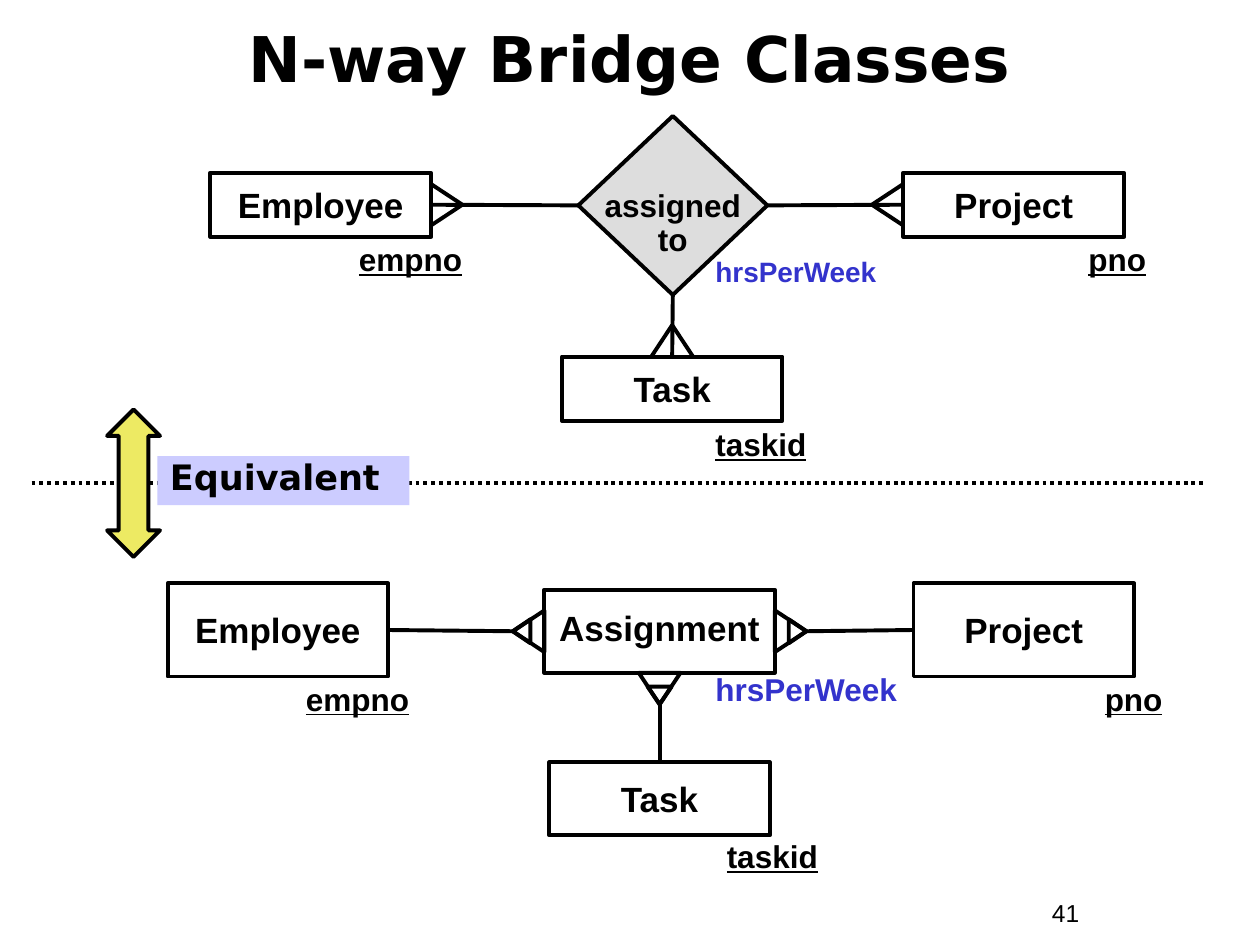
"""Build the slide on N-way bridge classes from a grid of 100 columns by 75 rows."""
from dataclasses import dataclass
from typing import Optional

from lxml.etree import SubElement
from pptx import Presentation
from pptx.dml.color import RGBColor
from pptx.enum.dml import MSO_LINE
from pptx.enum.shapes import MSO_CONNECTOR, MSO_SHAPE
from pptx.enum.text import MSO_ANCHOR, MSO_AUTO_SIZE, PP_ALIGN
from pptx.oxml.ns import qn
from pptx.shapes.autoshape import Shape
from pptx.shapes.connector import Connector
from pptx.slide import Slide
from pptx.util import Inches, Length, Pt

BLACK = RGBColor(0x00, 0x00, 0x00)
BLUE = RGBColor(0x33, 0x33, 0xCC)
GREY = RGBColor(0xDD, 0xDD, 0xDD)
LAVENDER = RGBColor(0xCC, 0xCC, 0xFF)
YELLOW = RGBColor(0xED, 0xEA, 0x63)
BODY_FONT = "Arial"
HEADING_FONT = "DejaVu Sans"
LINE_WIDTH = Pt(2.25)
TOP, LEFT, BOTTOM, RIGHT = range(4)
OUTWARD = {TOP: (0, -1), LEFT: (-1, 0), BOTTOM: (0, 1), RIGHT: (1, 0)}
TURN = {TOP: 0, LEFT: 270, BOTTOM: 180, RIGHT: 90}
FOOT_LENGTH = 2.5
FOOT_HALF_WIDTH = 1.65


@dataclass(frozen=True)
class Area:
    column: float
    row: float
    columns: float
    rows: float

    def lengths(self) -> list[Length]:
        return [cells(n) for n in (self.column, self.row, self.columns, self.rows)]

    def side(self, side: int) -> tuple[float, float]:
        """Return the middle point of one side."""
        step_x, step_y = OUTWARD[side]
        return (self.column + self.columns * (1 + step_x) / 2,
                self.row + self.rows * (1 + step_y) / 2)


@dataclass(frozen=True)
class Entity:
    name: str
    area: Area
    line_spacing: float = 1.0


@dataclass(frozen=True)
class Label:
    text: str
    area: Area
    size: int = 18
    color: RGBColor = BLACK
    bold: bool = True
    underline: bool = True
    line_spacing: float = 0.85


UPPER_EMPLOYEE = Entity("Employee", Area(16.7, 13.7, 17.5, 5.1))
UPPER_PROJECT = Entity("Project", Area(71.7, 13.7, 17.5, 5.1))
UPPER_TASK = Entity("Task", Area(44.6, 28.3, 17.5, 5.1))
RELATION = Area(45.9, 9.2, 15, 14.2)
LOWER_EMPLOYEE = Entity("Employee", Area(13.3, 46.3, 17.5, 7.4))
LOWER_PROJECT = Entity("Project", Area(72.5, 46.3, 17.5, 7.4))
LOWER_TASK = Entity("Task", Area(43.6, 60.5, 17.5, 5.8))
ASSIGNMENT = Entity("Assignment", Area(43.2, 46.8, 18.3, 6.6), 0.85)

LABELS = [
    Label("empno", Area(27.5, 19, 12.5, 3.6)),
    Label("pno", Area(85.4, 19, 10, 3.6)),
    Label("taskid", Area(55.8, 33.6, 10, 3.7), line_spacing=0.9),
    Label("hrsPerWeek", Area(55.8, 20, 15, 3.4), 16, BLUE, underline=False, line_spacing=0.9),
    Label("empno", Area(23.3, 53.9, 12.5, 3.6)),
    Label("pno", Area(86.7, 53.9, 10, 3.6)),
    Label("taskid", Area(56.7, 66.3, 10, 3.7), line_spacing=0.9),
    Label("hrsPerWeek", Area(55.8, 53, 16.7, 3.7), 18, BLUE, underline=False, line_spacing=0.9),
    Label("41", Area(82.5, 70.8, 9.2, 3.4), 14, bold=False, underline=False, line_spacing=1.0),
]


def cells(count: float) -> Length:
    """Convert a count of grid cells to a length."""
    return Inches(count / 10)


def draw_shape(page: Slide, kind: MSO_SHAPE, area: Area,
               fill: Optional[RGBColor] = None, outlined: bool = True) -> Shape:
    """Draw a preset shape with a plain fill and outline."""
    shape = page.shapes.add_shape(kind, *area.lengths())
    shape.shadow.inherit = False
    if fill is None:
        shape.fill.background()
    else:
        shape.fill.solid()
        shape.fill.fore_color.rgb = fill
    if outlined:
        shape.line.color.rgb = BLACK
        shape.line.width = LINE_WIDTH
    else:
        shape.line.fill.background()
    return shape


def write(box: Shape, text: str, size: int, font: str = BODY_FONT, color: RGBColor = BLACK,
          bold: bool = True, underline: bool = False, line_spacing: float = 1.0,
          align: PP_ALIGN = PP_ALIGN.CENTER, anchor: MSO_ANCHOR = MSO_ANCHOR.MIDDLE,
          wrap: bool = False) -> None:
    """Write one formatted paragraph into a box."""
    frame = box.text_frame
    frame.text = text
    frame.word_wrap = wrap
    frame.vertical_anchor = anchor
    para = frame.paragraphs[0]
    para.alignment = align
    para.line_spacing = line_spacing
    para.font.name = font
    para.font.size = Pt(size)
    para.font.bold = bold
    para.font.underline = underline
    para.font.color.rgb = color


def draw_entity(page: Slide, entity: Entity) -> Shape:
    """Draw a named class box."""
    box = draw_shape(page, MSO_SHAPE.RECTANGLE, entity.area)
    write(box, entity.name, 20, line_spacing=entity.line_spacing)
    return box


def draw_label(page: Slide, label: Label) -> None:
    """Draw a free-standing text label."""
    box = page.shapes.add_textbox(*label.area.lengths())
    write(box, label.text, label.size, color=label.color, bold=label.bold,
          underline=label.underline, line_spacing=label.line_spacing,
          align=PP_ALIGN.LEFT, anchor=MSO_ANCHOR.TOP, wrap=True)
    box.text_frame.auto_size = MSO_AUTO_SIZE.SHAPE_TO_FIT_TEXT


def draw_line(page: Slide, start: tuple[float, float], end: tuple[float, float]) -> Connector:
    """Draw a straight black line between two grid points."""
    line = page.shapes.add_connector(
        MSO_CONNECTOR.STRAIGHT, *(cells(n) for n in (*start, *end)))
    line.line.color.rgb = BLACK
    line.line.width = LINE_WIDTH
    SubElement(line._element.spPr, qn("a:effectLst"))
    return line


def draw_crow_foot(page: Slide, area: Area, side: int) -> None:
    """Draw the two spread legs of a crow's foot on one side of an area."""
    x, y = area.side(side)
    step_x, step_y = OUTWARD[side]
    tip = (x + FOOT_LENGTH * step_x, y + FOOT_LENGTH * step_y)
    for spread in (-FOOT_HALF_WIDTH, FOOT_HALF_WIDTH):
        draw_line(page, tip, (x + spread * step_y, y + spread * step_x))


def draw_bridge_foot(page: Slide, area: Area, side: int) -> tuple[float, float]:
    """Draw nested triangles on one side of an area and return their tip."""
    x, y = area.side(side)
    step_x, step_y = OUTWARD[side]
    for width, height in ((2 * FOOT_HALF_WIDTH, FOOT_LENGTH), (1.9, 1.4)):
        reach = FOOT_LENGTH - height / 2
        center_x, center_y = x + reach * step_x, y + reach * step_y
        triangle = draw_shape(page, MSO_SHAPE.ISOSCELES_TRIANGLE, Area(
            center_x - width / 2, center_y - height / 2, width, height))
        triangle.rotation = TURN[side]
    return x + FOOT_LENGTH * step_x, y + FOOT_LENGTH * step_y


def draw_relation(page: Slide) -> None:
    """Draw the upper diagram, with a diamond between three classes."""
    diamond = draw_shape(page, MSO_SHAPE.FLOWCHART_DECISION, RELATION, GREY)
    write(diamond, "assigned\vto", 18, line_spacing=0.9)
    diamond.text_frame.margin_top = cells(3.5)
    for entity, side, diamond_side in ((UPPER_EMPLOYEE, RIGHT, LEFT),
                                       (UPPER_PROJECT, LEFT, RIGHT), (UPPER_TASK, TOP, BOTTOM)):
        box = draw_entity(page, entity)
        line = draw_line(page, entity.area.side(side), RELATION.side(diamond_side))
        line.begin_connect(box, side)
        line.end_connect(diamond, diamond_side)
        draw_crow_foot(page, entity.area, side)


def draw_bridge(page: Slide) -> None:
    """Draw the lower diagram, with a bridge class between three classes."""
    draw_entity(page, ASSIGNMENT)
    for entity, side, bridge_side in ((LOWER_EMPLOYEE, RIGHT, LEFT),
                                      (LOWER_PROJECT, LEFT, RIGHT), (LOWER_TASK, TOP, BOTTOM)):
        box = draw_entity(page, entity)
        tip = draw_bridge_foot(page, ASSIGNMENT.area, bridge_side)
        draw_line(page, entity.area.side(side), tip).begin_connect(box, side)


def draw_divider(page: Slide) -> None:
    """Draw the dotted divider with its caption and double arrow."""
    draw_line(page, (2.5, 38.3), (95.8, 38.3)).line.dash_style = MSO_LINE.ROUND_DOT
    caption = draw_shape(page, MSO_SHAPE.RECTANGLE, Area(12.5, 36.2, 20, 3.9), LAVENDER, False)
    write(caption, "Equivalent", 20, HEADING_FONT, line_spacing=0.85,
          align=PP_ALIGN.LEFT, anchor=MSO_ANCHOR.TOP, wrap=True)
    arrow = draw_shape(page, MSO_SHAPE.UP_DOWN_ARROW, Area(8.5, 32.5, 4.2, 11.7), YELLOW)
    arrow.adjustments[0] = 0.5
    arrow.adjustments[1] = 0.56


def main() -> None:
    """Build and save the deck."""
    deck = Presentation()
    deck.slide_width, deck.slide_height = cells(100), cells(75)
    page = deck.slides.add_slide(deck.slide_layouts[5])
    title = page.shapes.title
    title.left, title.top, title.width, title.height = Area(3.3, 1.2, 93.3, 6.7).lengths()
    write(title, "N-way Bridge Classes", 36, HEADING_FONT, wrap=True)
    draw_relation(page)
    draw_bridge(page)
    for label in LABELS:
        draw_label(page, label)
    draw_divider(page)
    deck.save("out.pptx")


if __name__ == "__main__":
    main()
